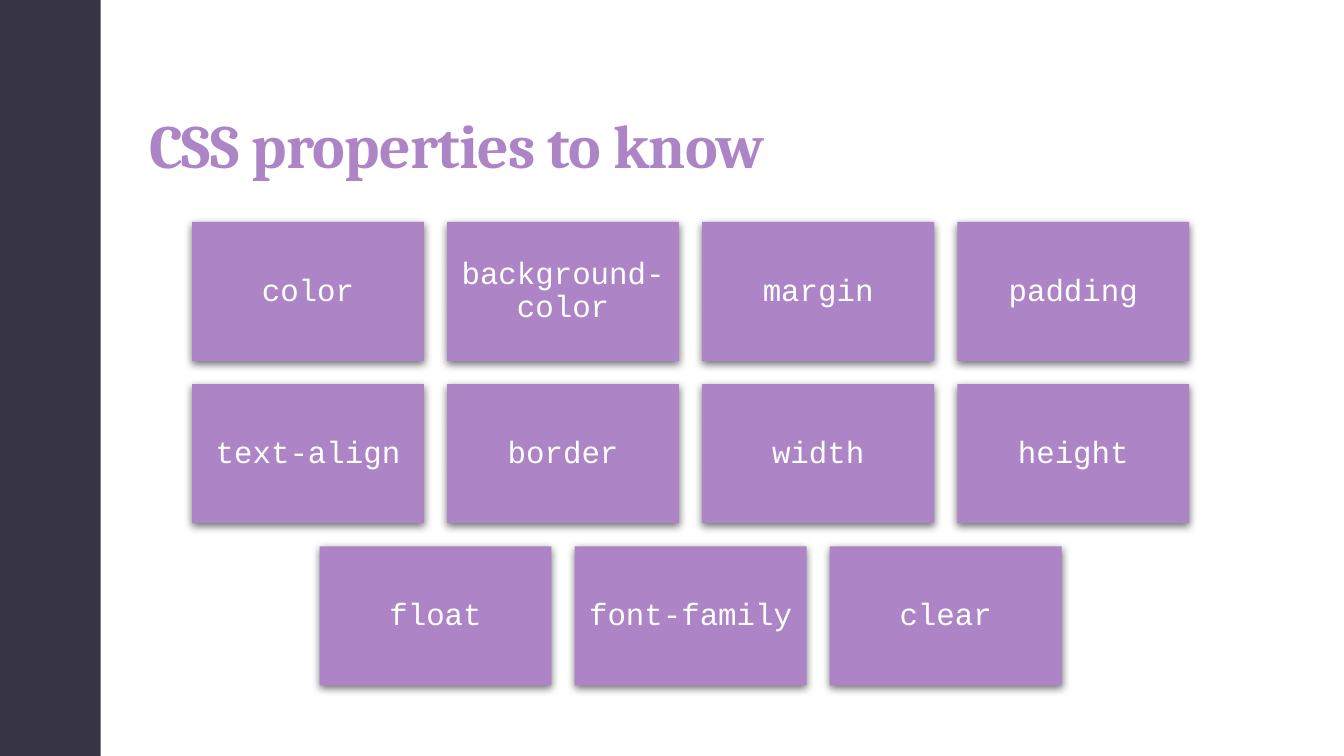
from lxml import etree
from pptx import Presentation
from pptx.dml.color import RGBColor
from pptx.enum.shapes import MSO_SHAPE
from pptx.enum.text import MSO_ANCHOR, PP_ALIGN
from pptx.oxml.ns import qn
from pptx.util import Inches, Pt

RECTANGLE = MSO_SHAPE.RECTANGLE
MIDDLE, BOTTOM = MSO_ANCHOR.MIDDLE, MSO_ANCHOR.BOTTOM
LEFT, CENTER = PP_ALIGN.LEFT, PP_ALIGN.CENTER

PROPERTY_ROWS = [
    ["color", "background-color", "margin", "padding"],
    ["text-align", "border", "width", "height"],
    ["float", "font-family", "clear"],
]
TILE_WIDTH, TILE_HEIGHT, GAP = 2.3, 1.38, 0.23
GRID_CENTER, GRID_TOP = 6.85, 2.2


def color(value):
    """Turn a hex string into a colour."""
    return RGBColor.from_string(value)


class Deck:
    """Hold the style and the current slide."""

    DARK, PURPLE, WHITE = "373545", "AD84C6", "FFFFFF"
    HEADING_FONT, CODE_FONT = "Cambria", "Courier New"

    def __init__(self):
        """Start a presentation with one white slide."""
        self.presentation = Presentation()
        self.presentation.slide_width = Inches(13.33)
        self.presentation.slide_height = Inches(7.5)
        self.slide = self.presentation.slides.add_slide(self.presentation.slide_layouts[6])
        background = self.slide.background.fill
        background.solid()
        background.fore_color.rgb = color(self.WHITE)

    def add_text(self, shape, text, font_name, size, ink, align, anchor, insets):
        """Put one styled line of text into a shape and return its run."""
        frame = shape.text_frame
        frame.word_wrap = True
        frame.vertical_anchor = anchor
        frame.margin_left, frame.margin_top, frame.margin_right, frame.margin_bottom = map(Inches, insets)
        paragraph = frame.paragraphs[0]
        paragraph.alignment = align
        paragraph.line_spacing = 0.9
        run = paragraph.add_run()
        run.text = text
        run.font.name = font_name
        run.font.size = Pt(size)
        run.font.color.rgb = color(ink)
        return run

    def block(self, left, top, width, height, fill):
        """Draw a plain filled rectangle."""
        shape = self.slide.shapes.add_shape(
            RECTANGLE, Inches(left), Inches(top), Inches(width), Inches(height))
        shape.shadow.inherit = False
        shape.fill.solid()
        shape.fill.fore_color.rgb = color(fill)
        shape.line.fill.background()
        return shape

    def title(self, text):
        """Add the slide heading."""
        heading = self.slide.shapes.add_textbox(
            Inches(1.38), Inches(0.29), Inches(10.93), Inches(1.56))
        run = self.add_text(heading, text, self.HEADING_FONT, 44, self.PURPLE,
                            LEFT, BOTTOM, (0.1, 0.03, 0.1, 0.05))
        run.font.bold = True
        run._r.get_or_add_rPr().set("spc", "-50")

    def tile(self, left, top, text):
        """Draw a shadowed tile with a property name."""
        tile = self.block(left, top, TILE_WIDTH, TILE_HEIGHT, self.PURPLE)
        effects = tile._element.spPr.find(qn("a:effectLst"))
        shadow = etree.SubElement(effects, qn("a:outerShdw"), blurRad=str(Pt(6)),
                                  dist=str(Pt(2)), dir="5400000", algn="ctr", rotWithShape="0")
        tint = etree.SubElement(shadow, qn("a:srgbClr"), val="000000")
        etree.SubElement(tint, qn("a:alpha"), val="55000")
        self.add_text(tile, text, self.CODE_FONT, 22, self.WHITE, CENTER, MIDDLE, (0.09,) * 4)


def main():
    """Build the slide and save it."""
    deck = Deck()
    deck.block(0, 0, 1, 7.5, deck.DARK)
    deck.title("CSS properties to know")
    for row, names in enumerate(PROPERTY_ROWS):
        row_width = len(names) * (TILE_WIDTH + GAP) - GAP
        row_left = GRID_CENTER - row_width / 2
        row_top = GRID_TOP + row * (TILE_HEIGHT + GAP)
        for column, name in enumerate(names):
            deck.tile(row_left + column * (TILE_WIDTH + GAP), row_top, name)
    deck.presentation.save("out.pptx")


if __name__ == "__main__":
    main()
